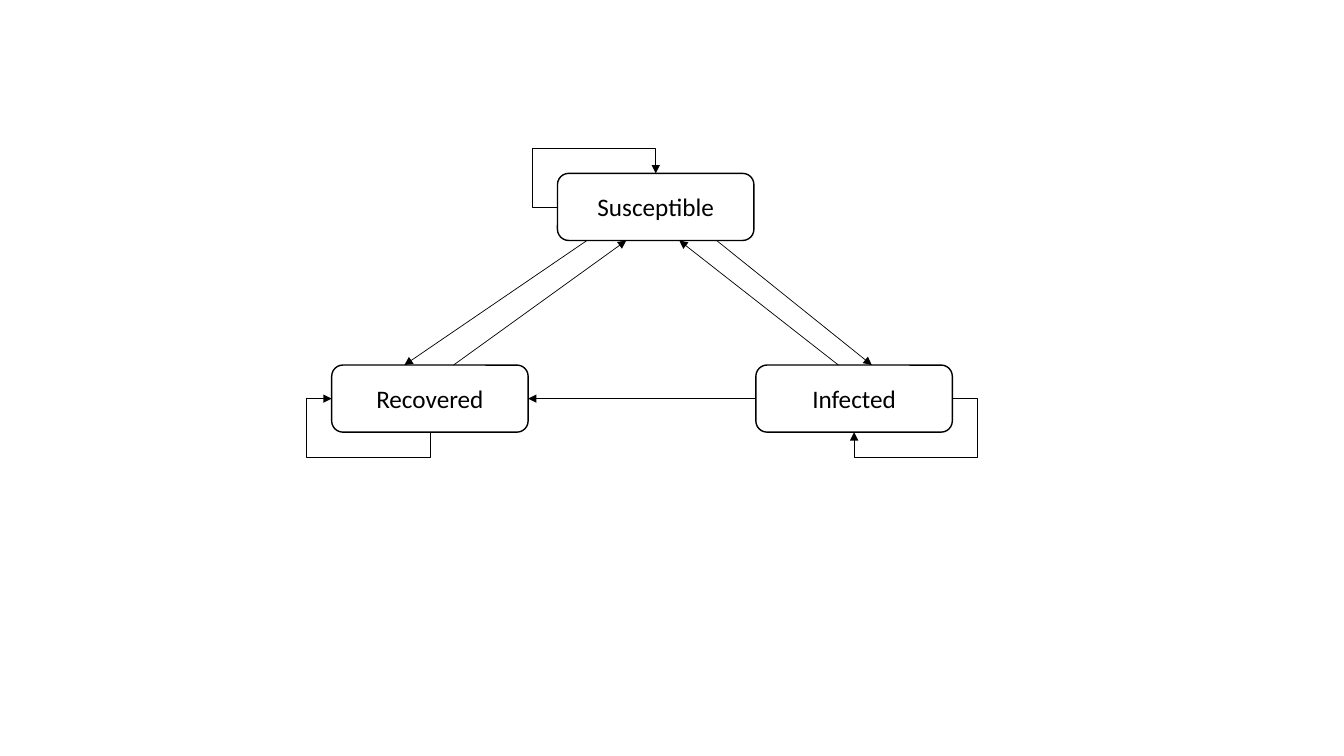
import pptx
import pptx.dml.color
import pptx.enum.shapes
import pptx.enum.text
import pptx.oxml
import pptx.oxml.ns
import pptx.util

Cm = pptx.util.Cm
Pt = pptx.util.Pt
Connector = pptx.enum.shapes.MSO_CONNECTOR


def colour(value):
    return pptx.dml.color.RGBColor.from_string(value)


def add_element(parent, tag, **attributes):
    child = pptx.oxml.parse_xml(f"<a:{tag} {pptx.oxml.ns.nsdecls('a')}/>")
    for name, value in attributes.items():
        child.set(name, value)
    parent.append(child)
    return child


def point(box, across, down):
    return box.left + across * box.width, box.top + down * box.height


class Diagram:
    """Draws states and the transitions between them on one slide."""

    font = "Calibri"
    ink = "000000"
    paper = "FFFFFF"
    state_width = Cm(4.95)
    state_height = Cm(1.69)
    loop_reach = Cm(0.64)

    def __init__(self, page):
        self.page = page

    def state(self, name, left, top):
        box = self.page.shapes.add_shape(
            pptx.enum.shapes.MSO_SHAPE.ROUNDED_RECTANGLE,
            Cm(left), Cm(top), self.state_width, self.state_height)
        box.shadow.inherit = False
        box.fill.solid()
        box.fill.fore_color.rgb = colour(self.paper)
        box.line.color.rgb = colour(self.ink)
        box.line.width = Pt(1)
        box.text_frame.vertical_anchor = pptx.enum.text.MSO_ANCHOR.MIDDLE
        para = box.text_frame.paragraphs[0]
        para.text = name
        para.alignment = pptx.enum.text.PP_ALIGN.CENTER
        para.font.name = self.font
        para.font.size = Pt(18)
        para.font.color.rgb = colour(self.ink)
        return box

    def arrow(self, start, end, kind=Connector.STRAIGHT):
        ends = [round(value) for value in (*start, *end)]
        arrow = self.page.shapes.add_connector(kind, *ends)
        arrow.line.color.rgb = colour(self.ink)
        arrow.line.width = Pt(0.5)
        add_element(arrow.line._get_or_add_ln(), "tailEnd", type="triangle")
        add_element(arrow._element.spPr, "effectLst")
        return arrow

    def loop(self, start, end, quarter_turn=False):
        if quarter_turn:
            middle_x = (start[0] + end[0]) / 2
            middle_y = (start[1] + end[1]) / 2
            start, end = [(middle_x + y - middle_y, middle_y - x + middle_x)
                          for x, y in (start, end)]
        loop = self.arrow(start, end, Connector.ELBOW)
        properties = loop._element.spPr
        if quarter_turn:
            properties.find(pptx.oxml.ns.qn("a:xfrm")).set("rot", "5400000")
        geometry = properties.find(pptx.oxml.ns.qn("a:prstGeom"))
        geometry.set("prst", "bentConnector4")
        for guide in list(geometry):
            geometry.remove(guide)
        guides = add_element(geometry, "avLst")
        bends = (-self.loop_reach / loop.width, 1 + self.loop_reach / loop.height)
        for number, bend in enumerate(bends, 1):
            add_element(guides, "gd", name=f"adj{number}",
                        fmla=f"val {round(bend * 100000)}")


def main():
    deck = pptx.Presentation()
    deck.slide_width = Cm(33.87)
    deck.slide_height = Cm(19.05)
    diagram = Diagram(deck.slides.add_slide(deck.slide_layouts[6]))

    recovered = diagram.state("Recovered", 8.36, 9.2)
    infected = diagram.state("Infected", 19.05, 9.2)
    susceptible = diagram.state("Susceptible", 14.05, 4.37)

    diagram.arrow(point(susceptible, 0.15, 1), point(recovered, 0.37, 0))
    diagram.arrow(point(recovered, 0.62, 0), point(susceptible, 0.35, 1))
    diagram.arrow(point(susceptible, 0.81, 1), point(infected, 0.59, 0))
    diagram.arrow(point(infected, 0.42, 0), point(susceptible, 0.62, 1))
    diagram.arrow(point(infected, 0, 0.5), point(recovered, 1, 0.5))

    diagram.loop(point(recovered, 0.5, 1), point(recovered, 0, 0.5), quarter_turn=True)
    diagram.loop(point(susceptible, 0, 0.5), point(susceptible, 0.5, 0))
    diagram.loop(point(infected, 1, 0.5), point(infected, 0.5, 1))

    deck.save("out.pptx")


if __name__ == "__main__":
    main()
